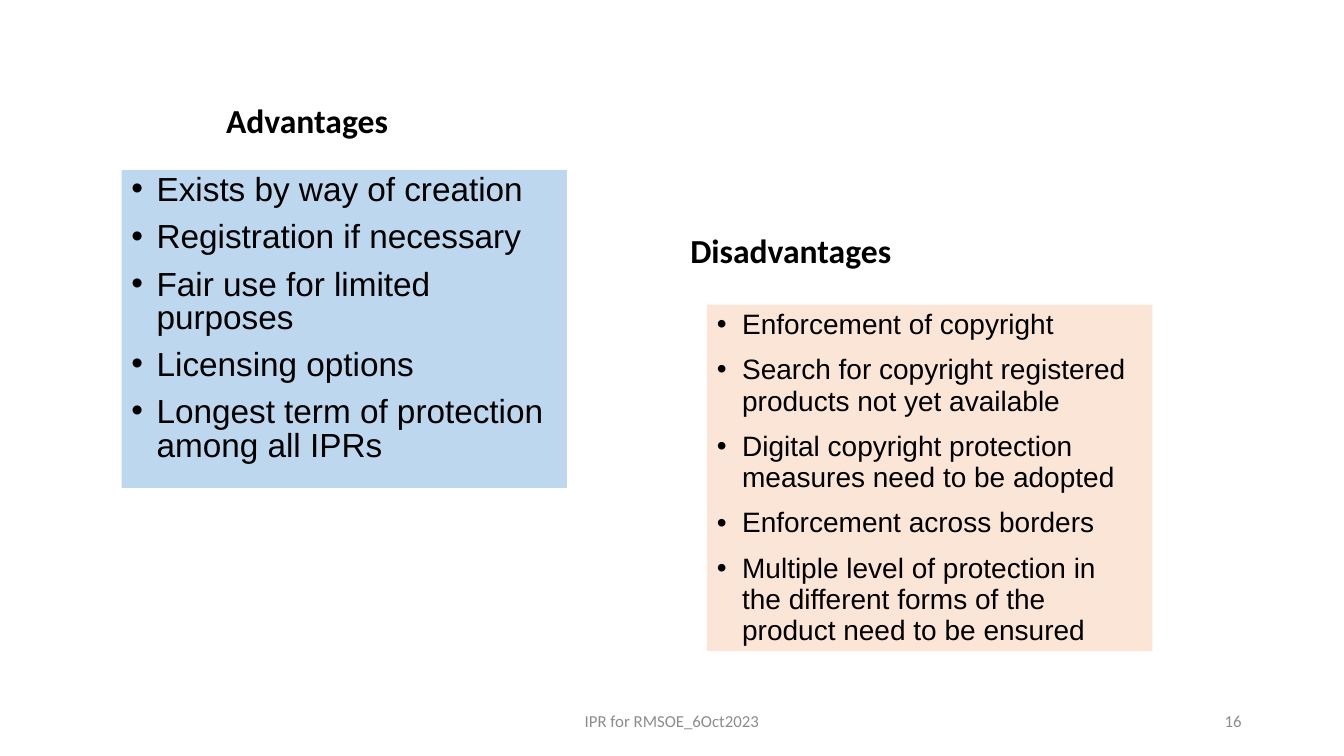
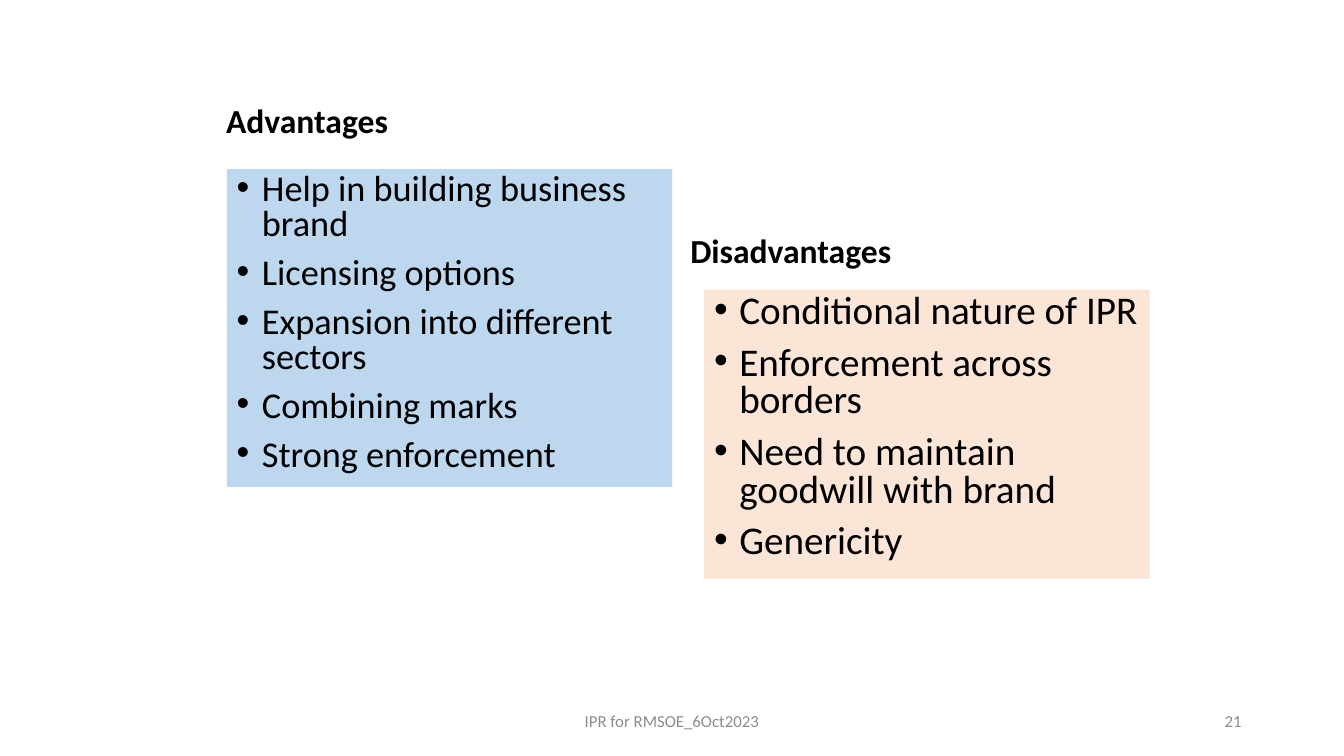
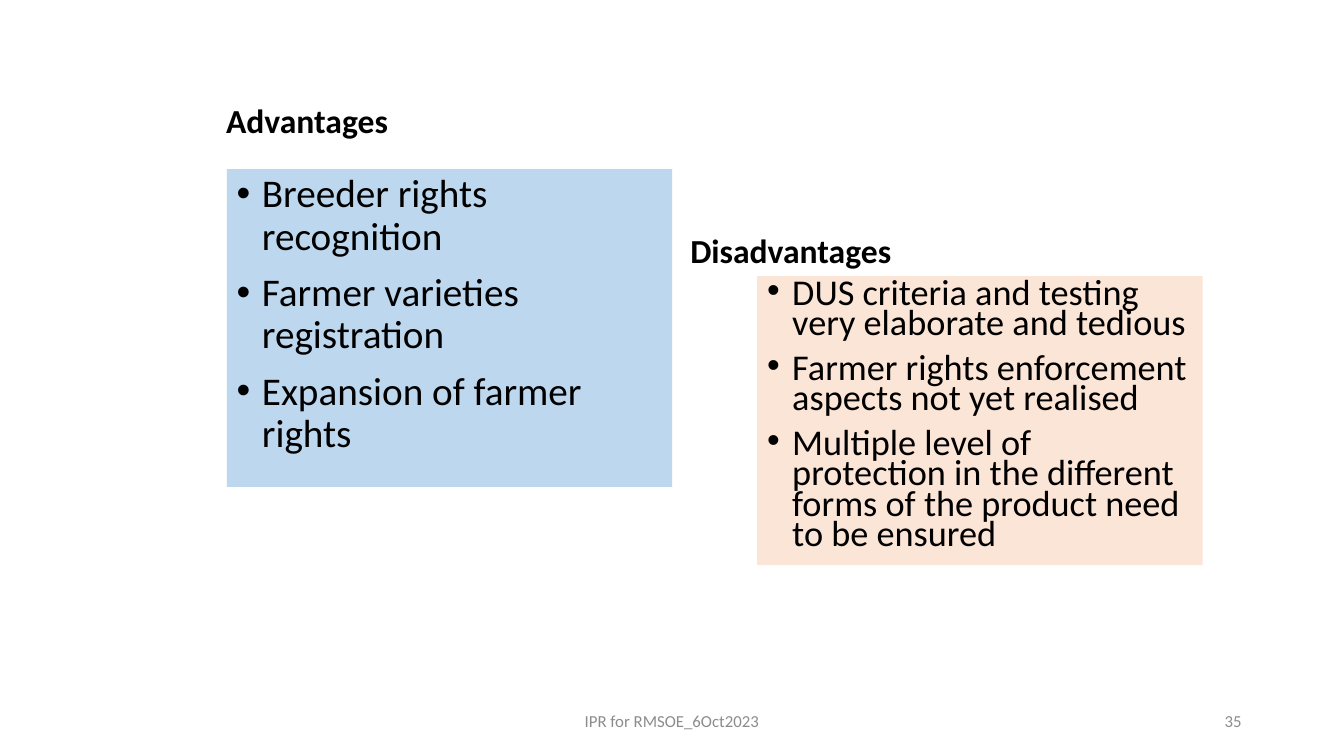
from dataclasses import dataclass

from lxml.etree import SubElement
from pptx import Presentation
from pptx.dml.color import RGBColor
from pptx.enum.text import MSO_ANCHOR as Anchor, PP_ALIGN as Align
from pptx.oxml.ns import qn
from pptx.slide import Slide
from pptx.util import Pt

COLORS = {
    "text": "000000",
    "footer": "8C8C8C",
    "advantage": "BDD7EE",
    "disadvantage": "FBE5D6",
}
HEADING_FONT = "Calibri"
FOOTER = "IPR for RMSOE_6Oct2023"
PANEL_WIDTH = 318.2
BULLET_INDENT = 18
PARAGRAPH_GAP = 10


@dataclass(frozen=True)
class Box:
    left: float
    top: float
    width: float
    height: float


@dataclass(frozen=True)
class Style:
    size: float
    color: str = "text"
    font: str = HEADING_FONT
    bold: bool = False
    align: Align = Align.LEFT
    anchor: Anchor = Anchor.TOP
    spacing: float = 1.0
    bullet: bool = False
    fill: str | None = None


@dataclass(frozen=True)
class Panel:
    left: float
    top: float
    height: float
    size: float
    spacing: float
    items: tuple[str, ...]
    font: str = "Calibri"


@dataclass(frozen=True)
class Comparison:
    number: int
    advantages: Panel
    disadvantages: Panel


HEADING = Style(24, bold=True, anchor=Anchor.BOTTOM, spacing=0.9)
FOOTER_TEXT = Style(12, "footer", align=Align.CENTER, anchor=Anchor.MIDDLE)
PAGE_NUMBER = Style(12, "footer", align=Align.RIGHT, anchor=Anchor.MIDDLE)

COMPARISONS = (
    Comparison(
        16,
        Panel(86.8, 121.6, 227, 23.8, 0.83, (
            "Exists by way of creation",
            "Registration if necessary",
            "Fair use for limited purposes",
            "Licensing options",
            "Longest term of protection among all IPRs",
        ), "Arial"),
        Panel(505, 217.6, 247.6, 20, 0.93, (
            "Enforcement of copyright",
            "Search for copyright registered products not yet available",
            "Digital copyright protection measures need to be adopted",
            "Enforcement across borders",
            "Multiple level of protection in the different forms of the product need to be ensured",
        ), "Arial"),
    ),
    Comparison(
        21,
        Panel(162, 120.8, 227, 25.9, 0.8, (
            "Help in building business brand",
            "Licensing options",
            "Expansion into different sectors",
            "Combining marks",
            "Strong enforcement",
        )),
        Panel(503, 206.8, 206.5, 28, 0.8, (
            "Conditional nature of IPR",
            "Enforcement across borders",
            "Need to maintain goodwill with brand",
            "Genericity",
        )),
    ),
    Comparison(
        35,
        Panel(162, 120.8, 227, 28, 0.9, (
            "Breeder rights recognition",
            "Farmer varieties registration",
            "Expansion of farmer rights",
        )),
        Panel(540.8, 197.2, 206.5, 25.9, 0.7, (
            "DUS criteria and testing very elaborate and tedious",
            "Farmer rights enforcement aspects not yet realised",
            "Multiple level of protection in the different forms of the product need to be ensured",
        )),
    ),
)


def rgb(name: str) -> RGBColor:
    return RGBColor.from_string(COLORS[name])


def add_bullet(p) -> None:
    pPr = p._p.get_or_add_pPr()
    pPr.set("marL", str(Pt(BULLET_INDENT)))
    pPr.set("indent", str(-Pt(BULLET_INDENT)))
    SubElement(pPr, qn("a:buFont"), typeface="Arial")
    SubElement(pPr, qn("a:buChar"), char="•")


def add_text(s: Slide, box: Box, lines: tuple[str, ...], style: Style) -> None:
    sp = s.shapes.add_textbox(Pt(box.left), Pt(box.top), Pt(box.width), Pt(box.height))
    if style.fill:
        sp.fill.solid()
        sp.fill.fore_color.rgb = rgb(style.fill)
    tf = sp.text_frame
    tf.word_wrap = True
    tf.vertical_anchor = style.anchor
    tf.text = "\n".join(lines)
    for i, p in enumerate(tf.paragraphs):
        if style.bullet:
            add_bullet(p)
        p.alignment = style.align
        p.line_spacing = style.spacing
        if i:
            p.space_before = Pt(PARAGRAPH_GAP)
        for r in p.runs:
            r.font.name = style.font
            r.font.size = Pt(style.size)
            r.font.bold = style.bold
            r.font.color.rgb = rgb(style.color)


def add_panel(s: Slide, panel: Panel, fill: str) -> None:
    style = Style(panel.size, font=panel.font, spacing=panel.spacing, bullet=True, fill=fill)
    add_text(s, Box(panel.left, panel.top, PANEL_WIDTH, panel.height), panel.items, style)


def add_comparison(prs, comparison: Comparison) -> None:
    s = prs.slides.add_slide(prs.slide_layouts[6])
    add_text(s, Box(154.4, 54, PANEL_WIDTH, 50.4), ("Advantages",), HEADING)
    add_panel(s, comparison.advantages, "advantage")
    add_text(s, Box(486, 132.5, 408, 64.8), ("Disadvantages",), HEADING)
    add_panel(s, comparison.disadvantages, "disadvantage")
    add_text(s, Box(318, 500.5, 324, 28.8), (FOOTER,), FOOTER_TEXT)
    add_text(s, Box(678, 500.5, 216, 28.8), (str(comparison.number),), PAGE_NUMBER)


def main() -> None:
    prs = Presentation()
    prs.slide_width, prs.slide_height = Pt(960), Pt(540)
    for comparison in COMPARISONS:
        add_comparison(prs, comparison)
    prs.save("out.pptx")


if __name__ == "__main__":
    main()
